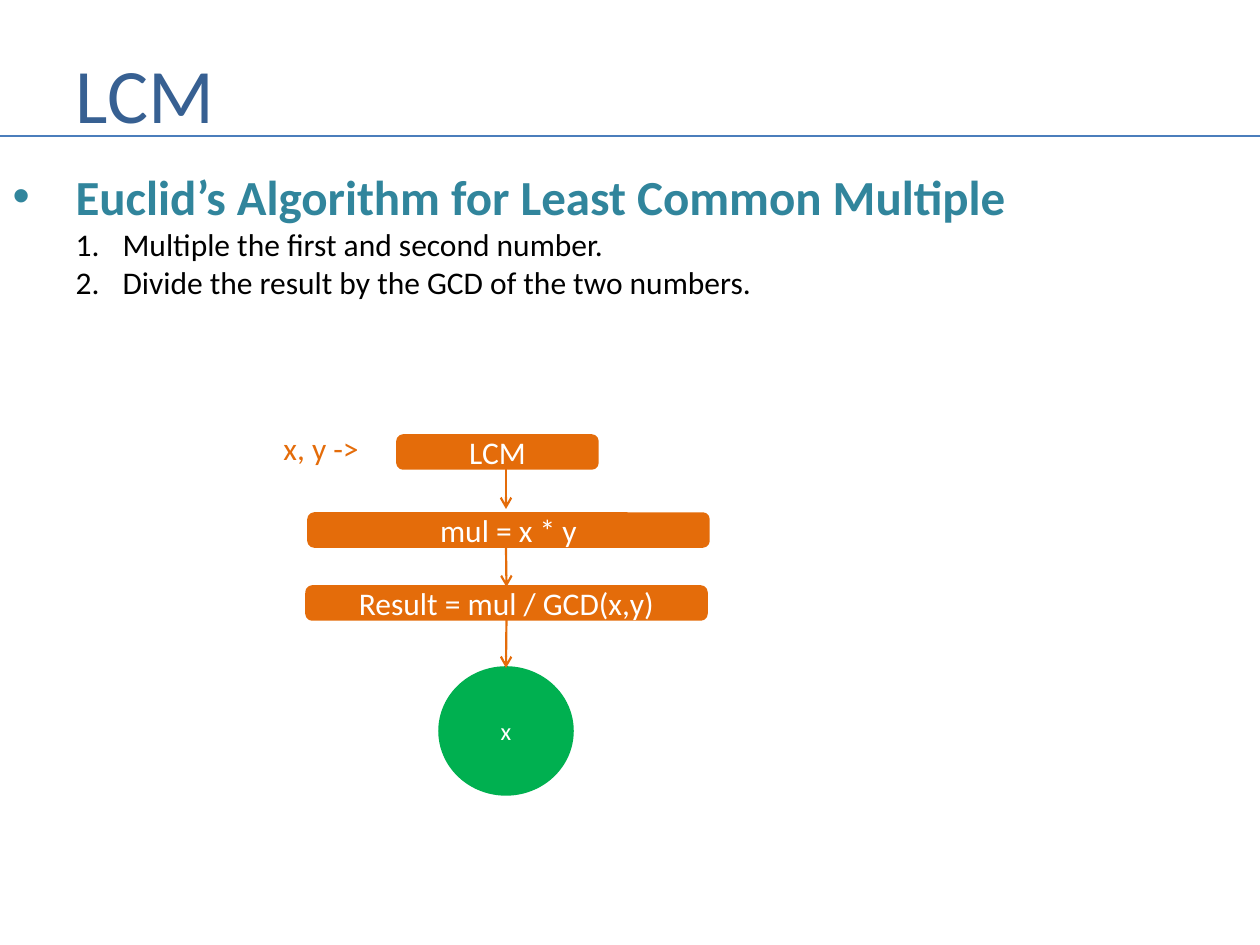
from lxml.etree import SubElement
from pptx import Presentation
from pptx.dml.color import RGBColor
from pptx.enum.shapes import MSO_CONNECTOR, MSO_SHAPE
from pptx.enum.text import MSO_ANCHOR, MSO_AUTO_SIZE, PP_ALIGN
from pptx.oxml.ns import qn
from pptx.util import Pt

PX = 914400 / 126  # EMU in one pixel
TOP, BOTTOM = 0, 2  # connection sites
ORANGE, GREEN, WHITE = "E46C0A", "00B050", "FFFFFF"


def px(*lengths):
    return [round(length * PX) for length in lengths]


def color(hex_string):
    return RGBColor.from_string(hex_string)


def place(shape, box):
    shape.left, shape.top, shape.width, shape.height = px(*box)


def write(paragraph, text, size, text_color, **extra):
    run = paragraph.add_run()
    run.text = text
    run.font.color.rgb = color(text_color)
    formats = {"name": "Calibri", "size": Pt(size), **extra}
    for attribute, value in formats.items():
        setattr(run.font, attribute, value)


def set_frame(frame, **formats):
    for attribute, value in formats.items():
        setattr(frame, attribute, value)


def set_bullet(paragraph, margin, hanging, tag, **attributes):
    properties = paragraph._p.get_or_add_pPr()
    margin, hanging = px(margin, hanging)
    properties.set("marL", str(margin))
    properties.set("indent", str(-hanging))
    SubElement(properties, qn("a:buFont"), typeface="Arial" if tag == "a:buChar" else "+mj-lt")
    SubElement(properties, qn(tag), **attributes)


def add_line(slide, start, end, line_color, width, arrow=False):
    line = slide.shapes.add_connector(MSO_CONNECTOR.STRAIGHT, *px(*start, *end))
    line.line.color.rgb = color(line_color)
    line.line.width = Pt(width)
    if arrow:
        SubElement(line.line._get_or_add_ln(), qn("a:tailEnd"), type="arrow")
    SubElement(line._element.spPr, qn("a:effectLst"))
    return line


def add_heading(slide, box):
    title = slide.shapes.title
    place(title, box)
    set_frame(title.text_frame, vertical_anchor=MSO_ANCHOR.MIDDLE,
              auto_size=MSO_AUTO_SIZE.NONE)
    paragraph = title.text_frame.paragraphs[0]
    paragraph.alignment = PP_ALIGN.LEFT
    write(paragraph, "LCM", 44, "376092")
    # Rule across the whole slide
    rule = box[1] + 98
    add_line(slide, (0, rule), (1260, rule), "4B7EBC", 1.5)


def add_algorithm(slide, box):
    body = slide.placeholders[1]
    place(body, box)
    frame = body.text_frame
    set_frame(frame, word_wrap=False, auto_size=MSO_AUTO_SIZE.SHAPE_TO_FIT_TEXT)
    heading = frame.paragraphs[0]
    set_bullet(heading, 63, 63, "a:buChar", char="•")
    heading.space_before = Pt(0)
    write(heading, "Euclid’s Algorithm for Least Common Multiple", 28, "31859C", bold=True)
    # Numbered steps
    for step in ("Multiple the first and second number.",
                 "Divide the result by the GCD of the two numbers."):
        paragraph = frame.add_paragraph()
        paragraph.level = 1
        set_bullet(paragraph, 110, 47, "a:buAutoNum", type="arabicPeriod")
        paragraph.space_before = Pt(0)
        write(paragraph, step, 18, "000000", bold=False)


def add_node(slide, kind, box, text, size, fill):
    node = slide.shapes.add_shape(kind, *px(*box))
    node.shadow.inherit = False
    node.fill.solid()
    node.fill.fore_color.rgb = color(fill)
    node.line.color.rgb = color(fill)
    node.line.width = Pt(2)
    node.text_frame.vertical_anchor = MSO_ANCHOR.MIDDLE
    paragraph = node.text_frame.paragraphs[0]
    paragraph.alignment = PP_ALIGN.CENTER
    write(paragraph, text, size, WHITE)
    return node


def add_flowchart(slide, box):
    left, top = box[:2]
    bar = MSO_SHAPE.ROUNDED_RECTANGLE

    # Input label
    inputs = slide.shapes.add_textbox(*px(left, top, 105, 50))
    set_frame(inputs.text_frame, word_wrap=False,
              auto_size=MSO_AUTO_SIZE.SHAPE_TO_FIT_TEXT)
    write(inputs.text_frame.paragraphs[0], "x, y ->", 18, ORANGE)

    # Steps from the call down to the result
    add_node(slide, bar, (left + 127, top + 13, 199, 32), "LCM", 18, ORANGE)
    add_node(slide, bar, (left + 38, top + 91, 399, 32), "mul = x * y", 18, ORANGE)
    division = add_node(slide, bar, (left + 36, top + 164, 399, 32),
                        "Result = mul / GCD(x,y)", 18, ORANGE)
    result = add_node(slide, MSO_SHAPE.OVAL, (left + 169, top + 245, 132, 126),
                      "x", 14, GREEN)

    # Arrows between the steps
    axis = left + 235
    spans = [(45, 86), (123, 164), (196, 245)]
    _, to_division, to_result = [
        add_line(slide, (axis, top + start), (axis, top + end), ORANGE, 1.25, arrow=True)
        for start, end in spans]
    to_division.end_connect(division, TOP)
    to_result.begin_connect(division, BOTTOM)
    to_result.end_connect(result, TOP)


def main():
    presentation = Presentation()
    presentation.slide_width, presentation.slide_height = px(1260, 945)
    slide = presentation.slides.add_slide(presentation.slide_layouts[1])
    add_heading(slide, (63, 38, 1144, 109))
    add_algorithm(slide, (0, 160, 1029, 149))
    add_flowchart(slide, (271, 423, 437, 371))
    presentation.save("out.pptx")


if __name__ == "__main__":
    main()
